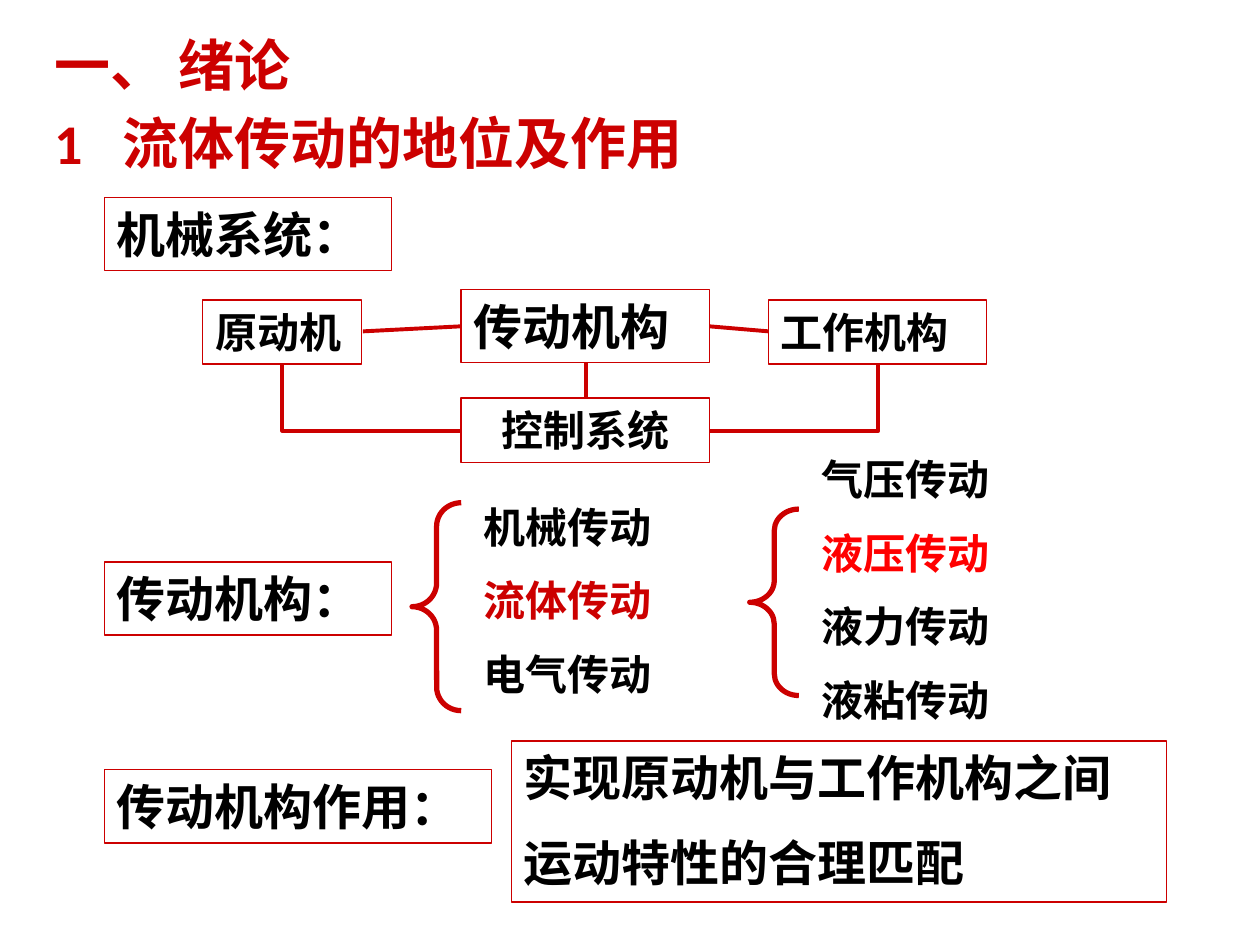
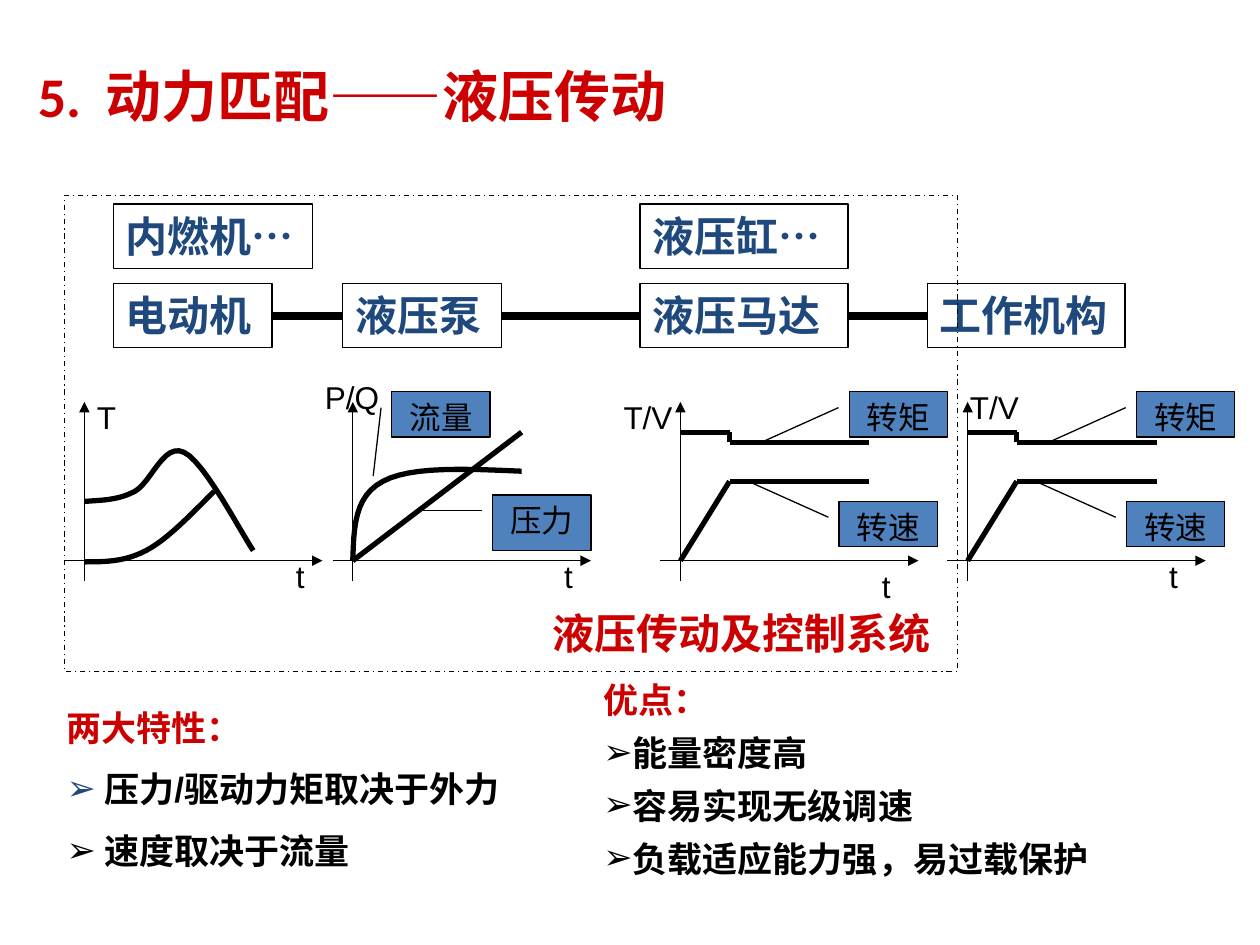
from dataclasses import dataclass

import lxml.etree
import pptx
import pptx.dml.color
import pptx.enum.dml
import pptx.enum.shapes
import pptx.enum.text
import pptx.oxml.ns
import pptx.util

Inches = pptx.util.Inches
Shape = pptx.enum.shapes.MSO_SHAPE
Connector = pptx.enum.shapes.MSO_CONNECTOR
Align = pptx.enum.text.PP_ALIGN
AutoSize = pptx.enum.text.MSO_AUTO_SIZE
qn = pptx.oxml.ns.qn


@dataclass(frozen=True)
class Theme:
    red: str = "CC0000"
    bright_red: str = "FF0000"
    black: str = "000000"
    white: str = "FFFFFF"
    navy: str = "1F497D"
    blue: str = "4F81BD"
    title_font: str = "Calibri"
    body_font: str = "Arial"
    title_size: int = 32
    large: int = 28
    medium: int = 24
    small: int = 20
    label: int = 18
    thin: float = 0.75
    link: float = 2.25
    curve: float = 3
    shaft: float = 4.5


def rgb(color):
    return pptx.dml.color.RGBColor.from_string(color)


def bezier(start, *segments, steps=12):
    points = [start]
    for c1, c2, end in segments:
        origin = points[-1]
        for step in range(1, steps + 1):
            t = step / steps
            weights = ((1 - t) ** 3, 3 * t * (1 - t) ** 2, 3 * t * t * (1 - t), t ** 3)
            points.append(tuple(
                sum(w * p[axis] for w, p in zip(weights, (origin, c1, c2, end)))
                for axis in (0, 1)))
    return points


class Deck:
    def __init__(self, theme):
        self.theme = theme
        self.presentation = pptx.Presentation()
        self.presentation.slide_width = Inches(10)
        self.presentation.slide_height = Inches(7.5)
        self.slide = None

    def new_slide(self, heading, left, top):
        layout = self.presentation.slide_layouts[5]
        self.slide = self.presentation.slides.add_slide(layout)
        title = self.slide.shapes.title
        title.left, title.top = Inches(left), Inches(top)
        title.width, title.height = Inches(9.34), Inches(0.79)
        self.set_text(title.text_frame, heading, self.theme.title_size, self.theme.red,
                      font=self.theme.title_font, gap=0.2, hanging=0.54)
        title.text_frame.auto_size = AutoSize.NONE

    def set_text(self, frame, lines, size, colors, bold=True, font=None, align=Align.LEFT,
                 gap=0.55, spacing=None, hanging=None, bullets=None):
        frame.text = "\n".join(lines)
        frame.word_wrap = True
        frame.vertical_anchor = pptx.enum.text.MSO_ANCHOR.TOP
        if isinstance(colors, str):
            colors = [colors] * len(lines)
        bullets = bullets or [None] * len(lines)
        for index, (paragraph, color, bullet) in enumerate(
                zip(frame.paragraphs, colors, bullets)):
            if hanging and (bullet or not any(bullets)):
                self.indent(paragraph, hanging, bullet)
            paragraph.alignment = align
            if spacing:
                paragraph.line_spacing = spacing
            paragraph.space_before = pptx.util.Pt(gap * size if index else 0)
            for run in paragraph.runs:
                run.font.name = font or self.theme.body_font
                run.font.size = pptx.util.Pt(size)
                run.font.bold = bold
                run.font.color.rgb = rgb(color)

    def indent(self, paragraph, hanging, bullet):
        properties = paragraph._p.get_or_add_pPr()
        properties.set("marL", str(Inches(hanging)))
        properties.set("indent", str(-Inches(hanging)))
        if bullet:
            color = lxml.etree.SubElement(properties, qn("a:buClr"))
            lxml.etree.SubElement(color, qn("a:srgbClr"), val=bullet)
            lxml.etree.SubElement(properties, qn("a:buFont"), typeface=self.theme.body_font)
            lxml.etree.SubElement(properties, qn("a:buChar"), char="➢")

    def text(self, place, lines, size, colors, **style):
        box = self.slide.shapes.add_textbox(*map(Inches, place))
        self.set_text(box.text_frame, lines, size, colors, **style)
        box.text_frame.auto_size = AutoSize.SHAPE_TO_FIT_TEXT

    def axis_label(self, left, top, caption, width=0.47):
        self.text((left, top, width, 0.4), [caption], self.theme.label,
                  self.theme.black, bold=False)

    def paint(self, shape, line, width, fill=None):
        shape.shadow.inherit = False
        if fill:
            shape.fill.solid()
            shape.fill.fore_color.rgb = rgb(fill)
        else:
            shape.fill.background()
        shape.line.color.rgb = rgb(line)
        shape.line.width = pptx.util.Pt(width)
        return shape

    def shape(self, kind, place, line, width, fill=None, adjustments=()):
        shape = self.slide.shapes.add_shape(kind, *map(Inches, place))
        for index, value in enumerate(adjustments):
            shape.adjustments[index] = value
        return self.paint(shape, line, width, fill)

    def box(self, place, lines, size, line, color, fill=None, align=Align.LEFT):
        box = self.shape(Shape.RECTANGLE, place, line, self.theme.thin, fill)
        self.set_text(box.text_frame, lines, size, color, align=align)
        box.text_frame.auto_size = AutoSize.SHAPE_TO_FIT_TEXT

    def brace(self, place, curl):
        self.shape(Shape.LEFT_BRACE, place, self.theme.red, self.theme.curve,
                   adjustments=(curl, 0.5))

    def callout(self, place, caption, adjustments):
        callout = self.shape(Shape.LINE_CALLOUT_1, place, self.theme.black,
                             self.theme.thin, self.theme.blue, adjustments)
        self.set_text(callout.text_frame, [caption], self.theme.label, self.theme.black,
                      bold=False, align=Align.CENTER)

    def line(self, start, end, color, width, elbow=False, arrow=False):
        kind = Connector.ELBOW if elbow else Connector.STRAIGHT
        line = self.slide.shapes.add_connector(kind, *map(Inches, (*start, *end)))
        line.line.color.rgb = rgb(color)
        line.line.width = pptx.util.Pt(width)
        properties = line._element.spPr
        if elbow:
            properties.find(qn("a:prstGeom")).set("prst", "bentConnector2")
        if arrow:
            lxml.etree.SubElement(properties.find(qn("a:ln")), qn("a:tailEnd"), type="triangle")
        lxml.etree.SubElement(properties, qn("a:effectLst"))

    def curve(self, points):
        first, *rest = [tuple(map(Inches, point)) for point in points]
        builder = self.slide.shapes.build_freeform(*first)
        builder.add_line_segments(rest, close=False)
        self.paint(builder.convert_to_shape(), self.theme.black, self.theme.curve)

    def axes(self, origin):
        for start, end in (((origin, 4.61), (origin, 3.19)),
                           ((origin - 0.16, 4.45), (origin + 1.89, 4.45))):
            self.line(start, end, self.theme.black, self.theme.thin, arrow=True)

    def torque_speed_plot(self, origin):
        self.axes(origin)
        knee, end = origin + 0.39, origin + 1.5
        torque = [(origin, 3.43), (knee, 3.43), (knee, 3.51), (end, 3.51)]
        speed = [(origin, 4.45), (knee, 3.82), (end, 3.82)]
        for trace in (torque, speed):
            for start, stop in zip(trace, trace[1:]):
                self.line(start, stop, self.theme.black, self.theme.curve)
        self.callout((origin + 1.34, 3.11, 0.78, 0.36), "转矩", (0.35, -0.11, 1.13, -0.91))
        self.callout((origin + 1.26, 3.98, 0.78, 0.36), "转速", (0.35, -0.11, -0.42, -0.9))


def build_introduction(deck):
    theme = deck.theme
    deck.new_slide(["一、 绪论", "1\t流体传动的地位及作用"], 0.33, 0.19)

    deck.brace((3.27, 3.99, 0.39, 1.65), 0.48)
    deck.text((3.74, 3.93, 2.12, 1.7), ["机械传动", "流体传动", "电气传动"],
              theme.medium, [theme.black, theme.red, theme.black])
    deck.brace((5.95, 4.04, 0.39, 1.48), 0.44)
    deck.text((6.42, 3.55, 2.4, 2.32), ["气压传动", "液压传动", "液力传动", "液粘传动"],
              theme.medium, [theme.black, theme.bright_red, theme.black, theme.black])

    for place, caption, size, align in (
            ((0.83, 1.57, 2.28, 0.58), "机械系统：", theme.large, Align.LEFT),
            ((0.83, 4.46, 2.28, 0.58), "传动机构：", theme.large, Align.LEFT),
            ((0.83, 6.11, 3.07, 0.58), "传动机构作用：", theme.large, Align.LEFT),
            ((1.61, 2.38, 1.26, 0.51), "原动机", theme.medium, Align.LEFT),
            ((3.66, 2.3, 1.97, 0.58), "传动机构", theme.large, Align.LEFT),
            ((6.1, 2.38, 1.73, 0.51), "工作机构", theme.medium, Align.LEFT),
            ((3.66, 3.16, 1.97, 0.51), "控制系统", theme.medium, Align.CENTER)):
        deck.box(place, [caption], size, theme.red, theme.black, align=align)
    deck.box((4.06, 5.88, 5.2, 1.28), ["实现原动机与工作机构之间", "运动特性的合理匹配"],
             theme.large, theme.red, theme.black, fill=theme.white)

    for start, end, elbow in (
            ((5.63, 2.59), (6.1, 2.63), False),
            ((2.88, 2.63), (3.66, 2.59), False),
            ((4.65, 3.16), (4.65, 2.87), False),
            ((3.66, 3.42), (2.24, 2.89), True),
            ((5.63, 3.42), (6.97, 2.89), True)):
        deck.line(start, end, theme.red, theme.link, elbow=elbow)


def build_power_matching(deck):
    theme = deck.theme
    deck.new_slide(["5.\t动力匹配——液压传动"], 0.2, 0.44)

    deck.text((0.43, 5.56, 3.86, 1.43),
              ["两大特性：", "压力/驱动力矩取决于外力", "速度取决于流量"],
              theme.small, [theme.red, theme.black, theme.black],
              hanging=0.3, bullets=[None, theme.navy, theme.black])

    drive_train = ((0.9, 1.26, "电动机"), (2.72, 1.26, "液压泵"),
                   (5.08, 1.65, "液压马达"), (7.36, 1.57, "工作机构"))
    alternatives = ((0.9, 1.58, "内燃机…"), (5.08, 1.65, "液压缸…"))
    for top, units in ((2.25, drive_train), (1.62, alternatives)):
        for left, width, caption in units:
            deck.box((left, top, width, 0.51), [caption], theme.medium,
                     theme.black, theme.navy)
    for (left, width, _), (following, _, _) in zip(drive_train, drive_train[1:]):
        deck.line((left + width, 2.51), (following, 2.51), theme.black, theme.shaft)

    deck.axes(0.67)
    deck.curve(bezier((0.67, 3.98),
                      ((0.81, 3.97), (0.94, 3.97), (1.07, 3.9)),
                      ((1.2, 3.83), (1.3, 3.51), (1.46, 3.59)),
                      ((1.62, 3.66), (1.92, 4.24), (2.01, 4.37))))
    deck.curve(bezier((0.67, 4.46),
                      ((0.83, 4.46), (0.99, 4.46), (1.16, 4.37)),
                      ((1.33, 4.28), (1.51, 4.09), (1.7, 3.9))))

    deck.axes(2.8)
    deck.curve(bezier((2.8, 4.45),
                      ((2.81, 4.19), (2.81, 3.94), (3.04, 3.82)),
                      ((3.26, 3.7), (3.7, 3.72), (4.14, 3.74))))
    deck.line((2.8, 4.45), (4.14, 3.43), theme.black, theme.curve)
    deck.callout((3.11, 3.11, 0.78, 0.36), "流量", (0.35, -0.11, 1.86, -0.19))
    deck.callout((3.91, 3.93, 0.78, 0.44), "压力", (0.28, -0.11, 0.28, -0.71))

    for origin in (5.4, 7.68):
        deck.torque_speed_plot(origin)

    for left, top in ((2.25, 4.37), (4.38, 4.37), (6.9, 4.45), (9.18, 4.37)):
        deck.axis_label(left, top, "t")
    for left, top, caption, width in ((0.67, 3.11, "T", 0.31), (2.48, 2.95, "P/Q", 0.87),
                                      (4.85, 3.11, "T/V", 0.71), (7.6, 3.03, "T/V", 1.34)):
        deck.axis_label(left, top, caption, width)

    system_border = deck.shape(Shape.RECTANGLE, (0.51, 1.55, 7.09, 3.78),
                               theme.black, theme.thin)
    system_border.line.dash_style = pptx.enum.dml.MSO_LINE.DASH_DOT
    deck.text((4.29, 4.77, 3.31, 0.5), ["液压传动及控制系统"], theme.medium, theme.red)

    deck.text((4.69, 5.4, 4.8, 1.67),
              ["优点：", "能量密度高", "容易实现无级调速", "负载适应能力强，易过载保护"],
              theme.small, [theme.red] + [theme.black] * 3, spacing=0.8,
              hanging=0.23, bullets=[None] + [theme.black] * 3)


def main():
    deck = Deck(Theme())
    build_introduction(deck)
    build_power_matching(deck)
    deck.presentation.save("out.pptx")


if __name__ == "__main__":
    main()
